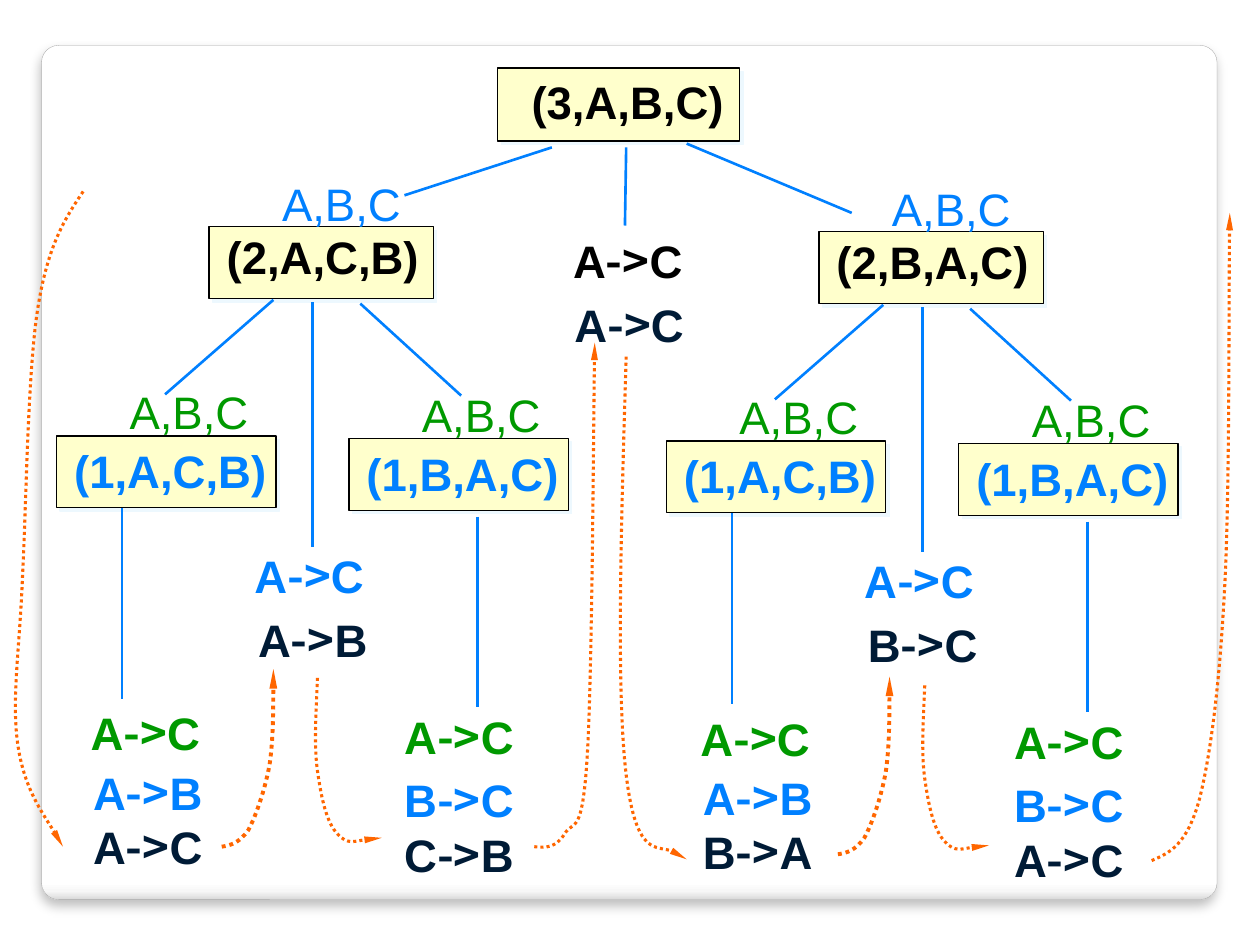
from lxml.etree import SubElement
from pptx import Presentation
from pptx.dml.color import RGBColor
from pptx.enum.dml import MSO_LINE
from pptx.enum.shapes import MSO_CONNECTOR, MSO_SHAPE
from pptx.enum.text import MSO_AUTO_SIZE
from pptx.oxml import parse_xml
from pptx.oxml.ns import nsdecls, qn
from pptx.util import Inches, Pt

WHITE = RGBColor(0xFF, 0xFF, 0xFF)
BLACK = RGBColor(0x00, 0x00, 0x00)
CREAM = RGBColor(0xFF, 0xFF, 0xCC)
BLUE = RGBColor(0x00, 0x80, 0xFF)
GREEN = RGBColor(0x00, 0x99, 0x00)
NAVY = RGBColor(0x00, 0x1B, 0x36)
ORANGE = RGBColor(0xFF, 0x66, 0x00)
GREY = RGBColor(0xA4, 0xA4, 0xA4)
PALE = RGBColor(0xED, 0xF8, 0xFE)

PANEL_STOPS = [(0, "FFFFFF"), (98, "FFFFFF"), (99, "F7F7F7"), (100, "DADADA")]


class TreeSlide:
    def __init__(self, s, font="Arial", arrow_font="Noto Sans CJK SC", size=26):
        self.s = s
        self.font, self.arrow_font, self.size = font, arrow_font, Pt(size)

    def shape(self, kind, x, y, w, h, line, width):
        sp = self.s.shapes.add_shape(kind, Inches(x), Inches(y), Inches(w), Inches(h))
        sp.line.color.rgb = line
        sp.line.width = Pt(width)
        return sp

    def drop_shadow(self, sp, color, alpha, blur, dist, angle):
        sp.shadow.inherit = False
        effects = sp._element.spPr.find(qn("a:effectLst"))
        shadow = SubElement(effects, qn("a:outerShdw"), blurRad=str(Pt(blur)),
                            dist=str(Pt(dist)), dir=str(angle * 60000), rotWithShape="0")
        clr = SubElement(shadow, qn("a:srgbClr"), val=str(color))
        SubElement(clr, qn("a:alpha"), val=str(alpha * 1000))

    def panel(self, x, y, w, h):
        sp = self.shape(MSO_SHAPE.ROUNDED_RECTANGLE, x, y, w, h, GREY, 0.16)
        sp.adjustments[0] = 0.02
        stops = "".join(f'<a:gs pos="{pos * 1000}"><a:srgbClr val="{c}"/></a:gs>'
                        for pos, c in PANEL_STOPS)
        sp._element.spPr.find(qn("a:prstGeom")).addnext(parse_xml(
            f'<a:gradFill {nsdecls("a")} rotWithShape="1"><a:gsLst>{stops}</a:gsLst>'
            '<a:lin ang="5400000" scaled="0"/></a:gradFill>'))
        self.drop_shadow(sp, BLACK, 25, 6, 4, 90)

    def text(self, x, y, lines, w=1.08, bold=True, wrap=False):
        """Write (text, colour) lines; the "->" of a move has its own font."""
        h = 0.1 + 0.43 * len(lines)
        tf = self.s.shapes.add_textbox(Inches(x), Inches(y), Inches(w), Inches(h)).text_frame
        tf.word_wrap = wrap
        tf.auto_size = MSO_AUTO_SIZE.SHAPE_TO_FIT_TEXT
        for i, (line, color) in enumerate(lines):
            p = tf.add_paragraph() if i else tf.paragraphs[0]
            p.font.name, p.font.size = self.font, self.size
            p.font.bold, p.font.color.rgb = bold, color
            for part in line.replace("->", "|->|").split("|"):
                r = p.add_run()
                r.text = part
                if part == "->":
                    r.font.name = self.arrow_font

    def node(self, x, y, w, label, color, text_x, text_y, h=0.57):
        sp = self.shape(MSO_SHAPE.RECTANGLE, x, y, w, h, BLACK, 0.75)
        sp.fill.solid()
        sp.fill.fore_color.rgb = CREAM
        self.drop_shadow(sp, PALE, 100, 0, 2.8, 45)
        self.text(text_x, text_y, [(label, color)], w=2.02, wrap=True)

    def pegs(self, x, y, color):
        self.text(x, y, [("A,B,C", color)], w=1.15, bold=False)

    def branch(self, x1, y1, x2, y2):
        c = self.s.shapes.add_connector(MSO_CONNECTOR.STRAIGHT, Inches(x1), Inches(y1),
                                        Inches(x2), Inches(y2))
        c.line.color.rgb = BLUE
        c.line.width = Pt(1.5)
        SubElement(c._element.spPr, qn("a:effectLst"))

    def step(self, points, dx=0, dy=0, width=1.75):
        """Dotted arrow along joined cubic curves (start, then three points a curve)."""
        start, *rest = [(Inches(x + dx), Inches(y + dy)) for x, y in points]
        builder = self.s.shapes.build_freeform(*start, scale=1.0)
        builder.add_line_segments(rest, close=False)
        sp = builder.convert_to_shape()
        segments = list(sp._element.iter(qn("a:lnTo")))
        for i in range(0, len(segments), 3):
            curve = SubElement(segments[i].getparent(), qn("a:cubicBezTo"))
            for segment in segments[i:i + 3]:
                curve.append(segment[0])
                segment.getparent().remove(segment)
        sp.fill.background()
        sp.shadow.inherit = False
        sp.line.color.rgb = ORANGE
        sp.line.width = Pt(width)
        sp.line.dash_style = MSO_LINE.ROUND_DOT
        SubElement(sp._element.spPr.find(qn("a:ln")), qn("a:tailEnd"),
                   type="triangle", w="sm", len="lg")

    def subtree(self, dx, dy, label, move, left_moves, right_moves):
        """Two-disc call with its two one-disc calls and the moves they make."""
        self.node(1.66 + dx, 1.8 + dy, 1.78, label, BLACK, 1.7 + dx, 1.77 + dy)
        self.pegs(2.14 + dx, 1.35 + dy, BLUE)
        self.text(1.92 + dx, 4.3 + dy, [("A->C", BLUE)])
        self.text(1.95 + dx, 4.81 + dy, [(move, NAVY)])
        leaves = [(0.45, 3.46, "(1,A,C,B)", 0.62, 5.55, 0.64, 6.02, left_moves),
                  (2.77, 3.48, "(1,B,A,C)", 3.11, 5.58, 3.11, 6.08, right_moves)]
        for x, y, leaf, x1, y1, x2, y2, (first, second) in leaves:
            x, y = x + dx, y + dy
            self.node(x, y, 1.74, leaf, BLUE, x + 0.04, y + 0.01)
            self.pegs(x + 0.48, y - 0.46, GREEN)
            self.text(x1 + dx, y1 + dy, [("A->C", GREEN)])
            self.text(x2 + dx, y2 + dy, [(first, BLUE), (second, NAVY)])
        for x1, y1, x2, y2 in [(2.17, 2.38, 1.31, 3.13), (2.48, 2.4, 2.48, 4.34),
                               (2.86, 2.41, 3.66, 3.14), (0.97, 4.03, 0.97, 5.55),
                               (3.79, 4.1, 3.79, 5.61)]:
            self.branch(x1 + dx, y1 + dy, x2 + dx, y2 + dy)


STEP_UP = [(1.76, 6.72), (1.83, 6.71), (1.9, 6.69), (1.97, 6.59), (2.03, 6.48),
           (2.1, 6.28), (2.14, 6.07), (2.17, 5.86), (2.17, 5.44), (2.17, 5.31)]
STEP_DOWN = [(2.52, 5.38), (2.51, 5.64), (2.49, 5.91), (2.52, 6.12), (2.55, 6.33),
             (2.59, 6.53), (2.68, 6.62), (2.76, 6.71), (2.97, 6.65), (3.03, 6.65)]
STEP_TO_ROOT = [(4.24, 6.72), (4.33, 6.73), (4.41, 6.73), (4.48, 6.62), (4.55, 6.5),
                (4.62, 6.66), (4.66, 6.01), (4.7, 5.36), (4.71, 3.27), (4.72, 2.72)]
STEP_FROM_ROOT = [(4.97, 2.83), (4.93, 4.15), (4.89, 5.48), (4.97, 6.15),
                  (5.05, 6.81), (5.37, 6.71), (5.45, 6.82)]
STEP_IN = [(0.66, 1.52), (0.52, 1.73), (0.38, 1.94), (0.3, 2.45), (0.22, 2.95),
           (0.21, 3.98), (0.18, 4.55), (0.16, 5.13), (0.09, 5.53), (0.14, 5.9),
           (0.19, 6.26), (0.43, 6.59), (0.5, 6.72)]
STEP_OUT = [(9.14, 6.83), (9.28, 6.77), (9.42, 6.71), (9.52, 6.34), (9.61, 5.98),
            (9.68, 5.43), (9.72, 4.65), (9.76, 3.88), (9.75, 2.18), (9.76, 1.69)]


def main():
    prs = Presentation()
    prs.slide_width, prs.slide_height = Inches(10), Inches(7.5)
    s = prs.slides.add_slide(prs.slide_layouts[6])
    s.background.fill.solid()
    s.background.fill.fore_color.rgb = WHITE

    tree = TreeSlide(s)
    tree.panel(0.33, 0.36, 9.33, 6.78)
    tree.node(3.95, 0.54, 1.92, "(3,A,B,C)", BLACK, 4.12, 0.54, h=0.58)
    tree.text(4.45, 1.8, [("A->C", BLACK)])
    tree.text(4.46, 2.31, [("A->C", NAVY)])
    tree.subtree(0, 0, "(2,A,C,B)", "A->B", ("A->B", "A->C"), ("B->C", "C->B"))
    tree.subtree(4.84, 0.04, "(2,B,A,C)", "B->C", ("A->B", "B->A"), ("B->C", "A->C"))
    for ends in [(4.97, 1.17, 4.96, 1.79), (4.38, 1.17, 3.21, 1.55), (5.45, 1.14, 6.76, 1.69)]:
        tree.branch(*ends)

    for up_dx, down_dx, dy in [(0, 0, 0), (4.89, 4.82, 0.06)]:
        tree.step(STEP_UP, up_dx, dy, width=2.25)
        tree.step(STEP_DOWN, down_dx, dy)
    for points in (STEP_TO_ROOT, STEP_FROM_ROOT, STEP_IN, STEP_OUT):
        tree.step(points)
    prs.save("out.pptx")


if __name__ == "__main__":
    main()
